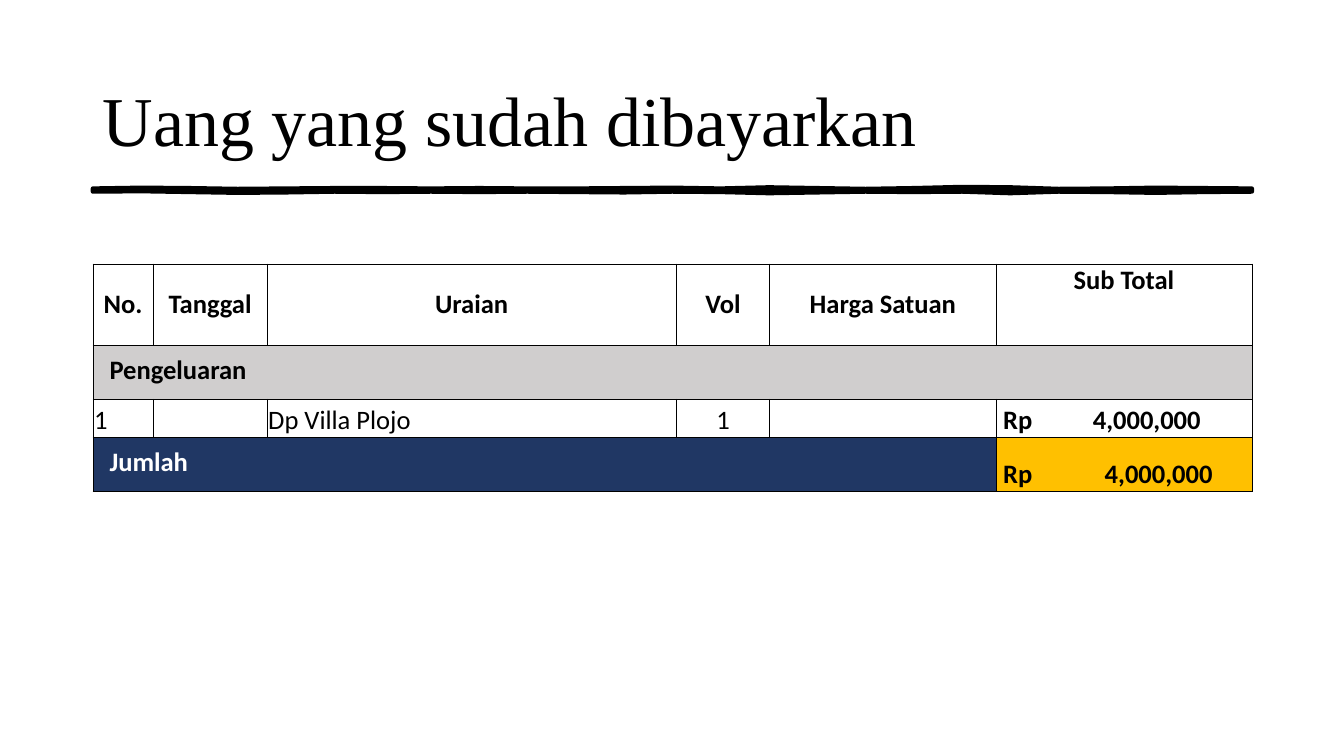
from lxml import etree
from pptx import Presentation
from pptx.dml.color import RGBColor
from pptx.enum import text
from pptx.oxml import ns
from pptx.util import Cm, Pt

BLACK = RGBColor(0x00, 0x00, 0x00)
WHITE = RGBColor(0xFF, 0xFF, 0xFF)
GREY = RGBColor(0xD0, 0xCE, 0xCE)
NAVY = RGBColor(0x20, 0x37, 0x64)
AMBER = RGBColor(0xFF, 0xC0, 0x00)

LEFT, WIDTH = 2.34, 29.21
COLUMNS = [1.52, 2.87, 10.31, 2.36, 5.7, 6.45]
ROWS = [2.06, 1.35, 0.97, 1.35]
HEADERS = ["No.", "Tanggal", "Uraian", "Vol", "Harga Satuan", "Sub Total"]

# Height of the brush stroke's edges at equal steps, in hundredths of a cm
STROKE_TOP = [475, 473, 474, 476, 475, 474, 474, 475, 474, 475, 475, 474,
              473, 475, 472, 474, 476, 474, 471, 472, 476, 475, 473, 474, 475]
STROKE_BOTTOM = [483, 482, 484, 486, 485, 483, 484, 483, 484, 483, 484, 485,
                 483, 484, 487, 485, 483, 484, 483, 487, 483, 484, 486, 484, 483]

TOP = text.MSO_ANCHOR.TOP
MIDDLE = text.MSO_ANCHOR.MIDDLE
BOTTOM = text.MSO_ANCHOR.BOTTOM
CENTER = text.PP_ALIGN.CENTER


def add_text(tf, words, size=19, font="Calibri", color=BLACK, bold=False,
             align=text.PP_ALIGN.LEFT):
    p = tf.paragraphs[0]
    p.alignment = align
    r = p.add_run()
    r.text = words
    r.font.size = Pt(size)
    r.font.name = font
    r.font.bold = bold
    r.font.color.rgb = color
    return p


def add_title(slide, words):
    sp = slide.shapes.title
    sp.left, sp.top, sp.width, sp.height = Cm(LEFT), Cm(1.02), Cm(WIDTH), Cm(3.68)
    tf = sp.text_frame
    tf.auto_size = text.MSO_AUTO_SIZE.NONE
    tf.vertical_anchor = MIDDLE
    tf.margin_top = Cm(0.38)
    add_text(tf, words, size=50, font="Times New Roman")


def add_brush_stroke(slide):
    step = WIDTH * 100 / (len(STROKE_TOP) - 1)
    xs = [round(LEFT * 100 + i * step) for i in range(len(STROKE_TOP))]
    outline = list(zip(xs, STROKE_TOP)) + list(zip(xs, STROKE_BOTTOM))[::-1]
    builder = slide.shapes.build_freeform(*outline[0], scale=Cm(0.01))
    builder.add_line_segments(outline[1:], close=True)
    sp = builder.convert_to_shape()
    sp.shadow.inherit = False
    sp.fill.solid()
    sp.fill.fore_color.rgb = BLACK
    sp.line.color.rgb = BLACK
    sp.line.width = Pt(3)


def set_borders(cell):
    tc_pr = cell._tc.get_or_add_tcPr()
    for i, side in enumerate(("lnL", "lnR", "lnT", "lnB")):
        ln = etree.Element(ns.qn(f"a:{side}"), w=str(Pt(0.5)))
        fill = etree.SubElement(ln, ns.qn("a:solidFill"))
        etree.SubElement(fill, ns.qn("a:srgbClr"), val=str(BLACK))
        tc_pr.insert(i, ln)


def set_tab(p, position):
    tabs = etree.SubElement(p._p.get_or_add_pPr(), ns.qn("a:tabLst"))
    etree.SubElement(tabs, ns.qn("a:tab"), pos=str(Cm(position)), algn="l")


def fill_cell(cell, words, anchor=BOTTOM, fill=None, inset=(0.03, 0.02), **fmt):
    cell.vertical_anchor = anchor
    cell.margin_left = cell.margin_right = Cm(inset[0])
    cell.margin_top = cell.margin_bottom = Cm(inset[1])
    if fill is not None:
        cell.fill.solid()
        cell.fill.fore_color.rgb = fill
    return add_text(cell.text_frame, words, **fmt)


def add_band(table, row, last_column, words, fill, color=BLACK):
    cell = table.cell(row, 0)
    cell.merge(table.cell(row, last_column))
    fill_cell(cell, words, anchor=TOP, fill=fill, inset=(0.42, 0.21),
              color=color, bold=True)


def add_amount(cell, amount, tab, fill=None):
    p = fill_cell(cell, f"Rp\t{amount}", fill=fill, inset=(0.18, 0.02), bold=True)
    set_tab(p, tab)


def add_payment_table(slide):
    table = slide.shapes.add_table(
        len(ROWS), len(COLUMNS), Cm(LEFT), Cm(6.65), Cm(WIDTH), Cm(sum(ROWS))).table
    table.first_row = table.horz_banding = False
    for column, width in zip(table.columns, COLUMNS):
        column.width = Cm(width)
    for row, height in zip(table.rows, ROWS):
        row.height = Cm(height)
    for cell in table.iter_cells():
        cell.margin_top = cell.margin_bottom = 0
        cell.fill.background()
        set_borders(cell)

    # Header row
    for i, words in enumerate(HEADERS):
        anchor = TOP if words == "Sub Total" else MIDDLE
        fill_cell(table.cell(0, i), words, anchor=anchor, bold=True, align=CENTER)

    # Expenses
    add_band(table, 1, 5, "Pengeluaran", GREY)
    fill_cell(table.cell(2, 0), "1")
    fill_cell(table.cell(2, 2), "Dp Villa Plojo")
    fill_cell(table.cell(2, 3), "1", align=CENTER)
    add_amount(table.cell(2, 5), "4,000,000", tab=2.26)

    # Total
    add_band(table, 3, 4, "Jumlah", NAVY, color=WHITE)
    add_amount(table.cell(3, 5), "4,000,000", tab=2.56, fill=AMBER)


def main():
    prs = Presentation()
    prs.slide_width, prs.slide_height = Cm(33.87), Cm(19.05)
    slide = prs.slides.add_slide(prs.slide_layouts[5])
    add_brush_stroke(slide)
    add_title(slide, "Uang yang sudah dibayarkan")
    add_payment_table(slide)
    prs.save("out.pptx")


if __name__ == "__main__":
    main()
